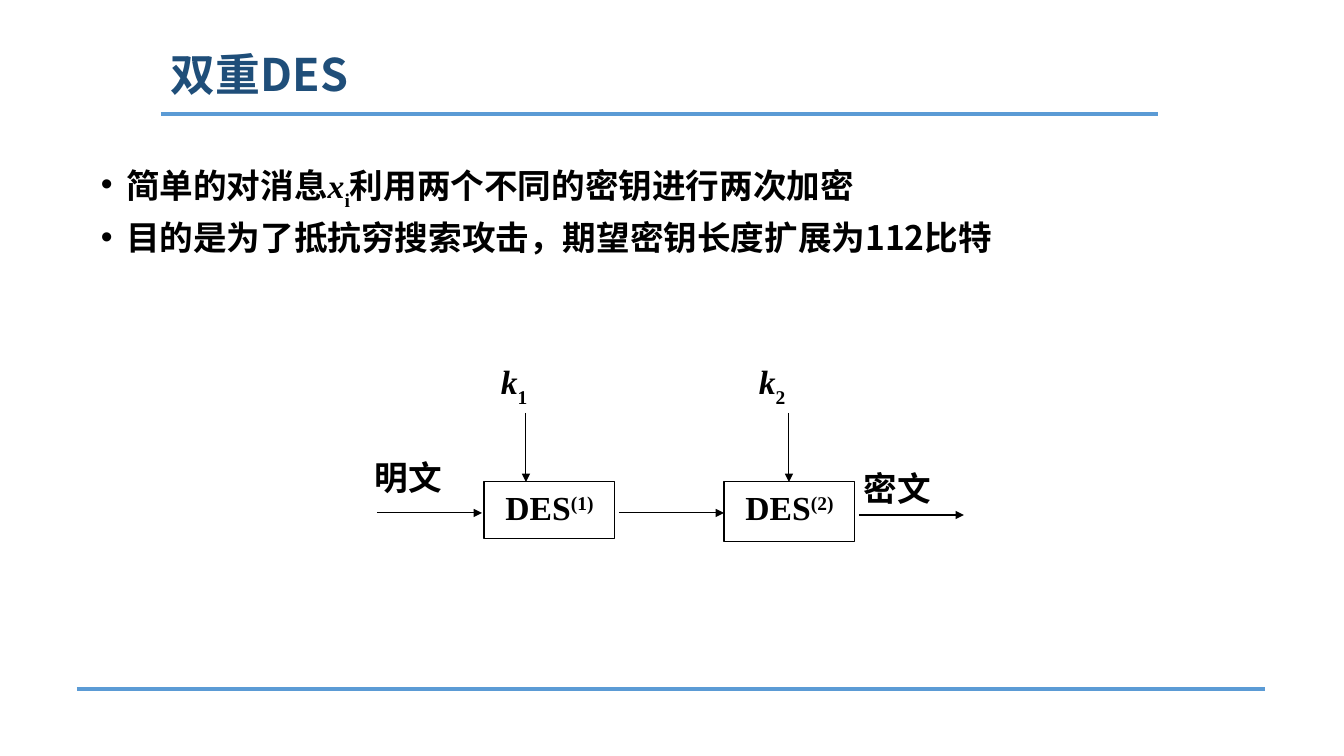
from pptx import Presentation
from pptx.dml.color import RGBColor
from pptx.enum.shapes import MSO_CONNECTOR, MSO_SHAPE
from pptx.enum.text import MSO_ANCHOR, PP_ALIGN
from pptx.oxml.ns import qn
from pptx.util import Pt
from lxml import etree

LINE, RECT = MSO_CONNECTOR.STRAIGHT, MSO_SHAPE.RECTANGLE
TOP, MID = MSO_ANCHOR.TOP, MSO_ANCHOR.MIDDLE
LEFT, CENTER = PP_ALIGN.LEFT, PP_ALIGN.CENTER

THEME = {
    "sans": "Noto Sans CJK SC", "serif": "Times New Roman",
    "ink": "000000", "paper": "FFFFFF", "title": "1F4E79", "rule": "5B9BD5",
    "head": 32, "text": 24, "thin": 0.75, "bold": 2.25,
}

TITLE = ("双重DES", (161, 40, 996, 74))
BODY = (91, 161, 1159, 505)
POINTS = [
    [("简单的对消息", "sans", False, 0), ("x", "serif", True, 0),
     ("i", "serif", False, -25), ("利用两个不同的密钥进行两次加密", "serif", False, 0)],
    [("目的是为了抵抗穷搜索攻击，期望密钥长度扩展为112比特", "sans", False, 0)],
]
RULES = [(161, 114, 1158, 114), (77, 689, 1265, 689)]
LABELS = [("明文", 365, 452), ("密文", 854, 463)]
STAGES = [("1", 484, 57, 491, 526), ("2", 724, 60, 749, 789)]
FLOWS = [(377, 513), (619, 513), (859, 515)]
WIDE, LABEL_H, KEY_W, KEY_Y = 131, 69, 79, 356
STEM_Y, STAGE_Y, REACH = 413, 482, 105

UNIT = 914400 / 100.8


def px(*vals):
    return [round(v * UNIT) for v in vals]


def tint(name):
    return RGBColor.from_string(THEME[name])


def write(para, runs, size="text", color="ink"):
    for text, face, slant, base in runs:
        run = para.add_run()
        run.text = text
        font = run.font
        font.name, font.size = THEME[face], Pt(THEME[size])
        font.bold, font.italic = True, slant
        font.color.rgb = tint(color)
        props = run._r.get_or_add_rPr()
        etree.SubElement(props, qn("a:ea"), typeface=THEME["sans"])
        if base:
            props.set("baseline", str(base * 1000))


def setup(shape, anchor=TOP):
    frame = shape.text_frame
    frame.word_wrap = True
    frame.vertical_anchor = anchor
    return frame


def add_text(area, anchor=TOP):
    return setup(slide.shapes.add_textbox(*px(*area)), anchor)


def add_box(area, runs, align=LEFT, edge=False):
    box = slide.shapes.add_shape(RECT, *px(*area))
    box.shadow.inherit = False
    box.fill.solid()
    box.fill.fore_color.rgb = tint("paper")
    if edge:
        box.line.color.rgb = tint("ink")
        box.line.width = Pt(THEME["thin"])
    else:
        box.line.fill.background()
    para = setup(box).paragraphs[0]
    para.alignment = align
    write(para, runs)


def add_line(ends, color="ink", width="thin", arrow=True):
    link = slide.shapes.add_connector(LINE, *px(*ends))
    link.line.color.rgb = tint(color)
    link.line.width = Pt(THEME[width])
    if arrow:
        etree.SubElement(link.line._get_or_add_ln(), qn("a:tailEnd"), type="triangle")
    etree.SubElement(link._element.spPr, qn("a:effectLst"))


def add_bullet(para):
    props = para._p.get_or_add_pPr()
    props.set("marL", "228600")
    props.set("indent", "-228600")
    etree.SubElement(props, qn("a:buFont"), typeface="Arial")
    etree.SubElement(props, qn("a:buChar"), char="•")


deck = Presentation()
deck.slide_width, deck.slide_height = px(1344, 756)
slide = deck.slides.add_slide(deck.slide_layouts[6])

for ends in RULES:
    add_line(ends, "rule", "bold", False)

head, area = TITLE
para = add_text(area, MID).paragraphs[0]
para.line_spacing = 0.9
write(para, [(head, "sans", False, 0)], "head", "title")

frame = add_text(BODY)
for i, runs in enumerate(POINTS):
    para = frame.add_paragraph() if i else frame.paragraphs[0]
    add_bullet(para)
    para.line_spacing = 0.9
    if i:
        para.space_before = Pt(10)
    write(para, runs)

for text, x, y in LABELS:
    add_box((x, y, WIDE, LABEL_H), [(text, "serif", False, 0)])

for num, x, high, key_x, stem_x in STAGES:
    add_box((x, STAGE_Y, WIDE, high),
            [("DES", "serif", False, 0), (f"({num})", "serif", False, 30)], CENTER, True)
    key = add_text((key_x, KEY_Y, KEY_W, LABEL_H)).paragraphs[0]
    write(key, [("k", "serif", True, 0), (num, "serif", False, -30)])
    add_line((stem_x, STEM_Y, stem_x, STAGE_Y))

for x, y in FLOWS:
    add_line((x, y, x + REACH, y))

deck.save("out.pptx")
